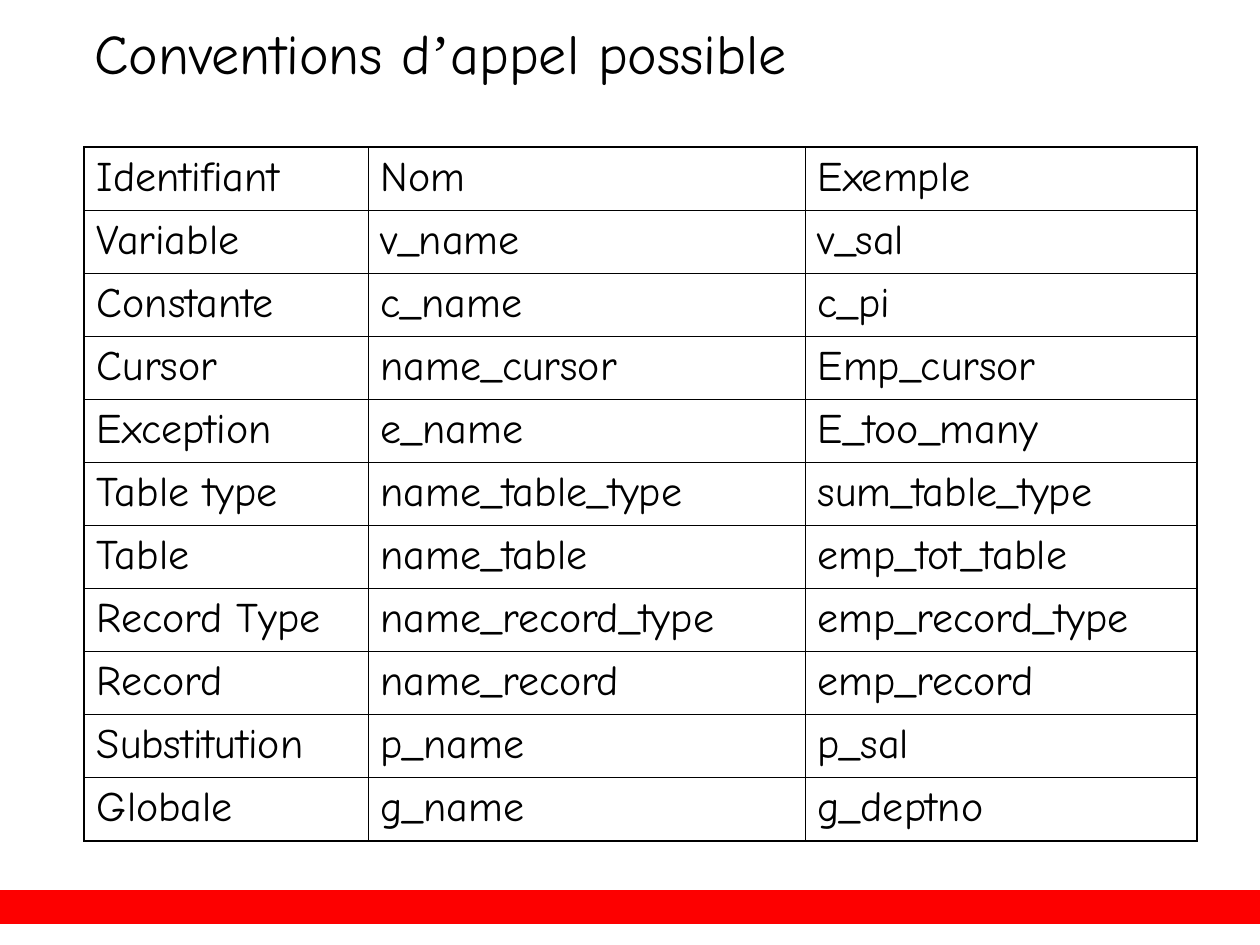
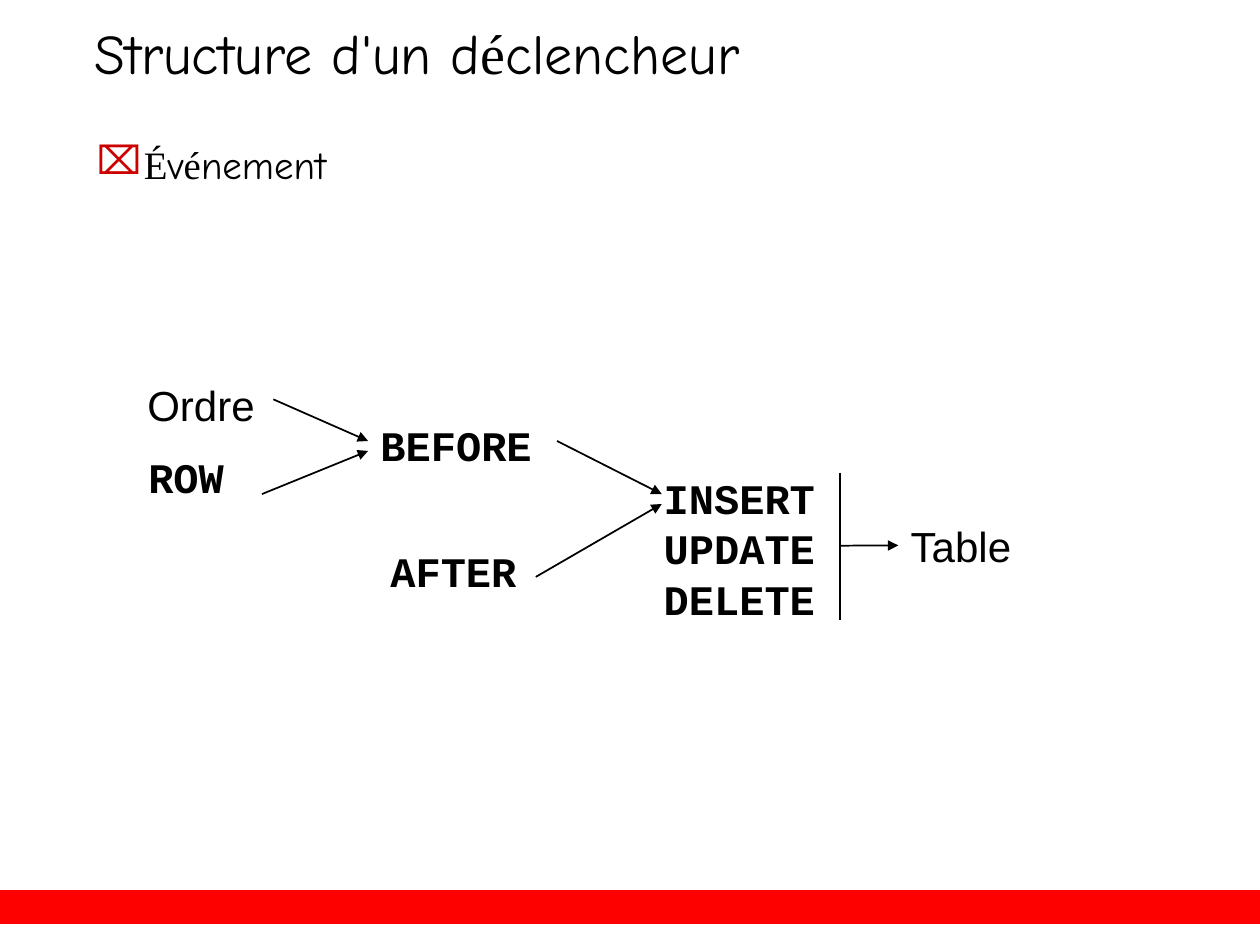
from dataclasses import dataclass
from itertools import groupby

from lxml import etree
from pptx import Presentation
from pptx.dml.color import RGBColor
from pptx.enum.shapes import MSO_CONNECTOR, MSO_SHAPE
from pptx.enum.text import MSO_ANCHOR, MSO_AUTO_SIZE
from pptx.oxml.ns import qn
from pptx.shapes.autoshape import Shape
from pptx.slide import Slide
from pptx.table import _Cell
from pptx.text.text import _Paragraph
from pptx.util import Cm, Pt

LINE = MSO_CONNECTOR.STRAIGHT
RECT = MSO_SHAPE.RECTANGLE
MIDDLE = MSO_ANCHOR.MIDDLE
GROW = MSO_AUTO_SIZE.SHAPE_TO_FIT_TEXT
LEFT = 1


@dataclass(frozen=True)
class Theme:
    ink: str = "000000"
    band: str = "FD0000"
    mark: str = "CC0000"
    hand: str = "Comic Neue"
    serif: str = "Times New Roman"
    sans: str = "Arial"
    code: str = "Courier New"
    title: float = 32
    body: float = 22.2
    text: float = 24
    thin: float = 0.45
    thick: float = 1.08
    stroke: float = 1


THEME = Theme()


@dataclass(frozen=True)
class Box:
    left: float
    top: float
    width: float
    height: float = 1.27

    def place(self) -> tuple[Cm, Cm, Cm, Cm]:
        return Cm(self.left), Cm(self.top), Cm(self.width), Cm(self.height)


@dataclass(frozen=True)
class Label:
    lines: tuple[str, ...]
    box: Box
    font: str = THEME.code
    bold: bool = True


@dataclass(frozen=True)
class Link:
    start: tuple[float, float]
    end: tuple[float, float]
    arrow: bool = True
    goal: str = ""


TITLE = Box(1.9, 0.43, 20.75, 1.47)
BAND = Box(0, 17.96, 25.4, 0.66)
BODY = Box(1.7, 2.74, 21.79)

WIDTHS = (5.72, 8.81, 7.9)
ROW = 1.27
NAMES = (
    ("Identifiant", "Nom", "Exemple"),
    ("Variable", "v_name", "v_sal"),
    ("Constante", "c_name", "c_pi"),
    ("Cursor", "name_cursor", "Emp_cursor"),
    ("Exception", "e_name", "E_too_many"),
    ("Table type", "name_table_type", "sum_table_type"),
    ("Table", "name_table", "emp_tot_table"),
    ("Record Type", "name_record_type", "emp_record_type"),
    ("Record", "name_record", "emp_record"),
    ("Substitution", "p_name", "p_sal"),
    ("Globale", "g_name", "g_deptno"),
)

LABELS = (
    Label(("Ordre",), Box(2.72, 7.52, 2.67), THEME.sans, False),
    Label(("ROW",), Box(2.74, 8.97, 2.03)),
    Label(("BEFORE",), Box(7.42, 8.33, 3.56)),
    Label(("AFTER",), Box(7.62, 10.87, 3.05)),
    Label(("INSERT", "UPDATE", "DELETE"), Box(13.13, 9.4, 3.56, 3.3)),
    Label(("Table",), Box(18.11, 10.36, 2.62), THEME.sans, False),
)
LINKS = (
    Link((5.51, 8.05), (7.42, 8.89)),
    Link((5.28, 9.96), (7.42, 9.09)),
    Link((11.23, 8.89), (13.34, 9.96)),
    Link((10.8, 11.63), (13.34, 10.16)),
    Link((16.94, 9.53), (16.94, 12.5), arrow=False),
    Link((16.94, 11), (18.11, 11), goal="Table"),
)


def style(para: _Paragraph, size: float, face: str = "", bold: bool = False) -> None:
    para.font.size = Pt(size)
    para.font.bold = bold
    para.font.color.rgb = RGBColor.from_string(THEME.ink)
    if face:
        para.font.name = face


def write(para: _Paragraph, text: str, size: float) -> None:
    style(para, size)
    for plain, chars in groupby(text, str.isascii):
        run = para.add_run()
        run.text = "".join(chars)
        run.font.name = THEME.hand if plain else THEME.serif


def add_text(slide: Slide, box: Box) -> Shape:
    shape = slide.shapes.add_textbox(*box.place())
    shape.text_frame.word_wrap = True
    shape.text_frame.vertical_anchor = MIDDLE
    return shape


def add_base(deck: Presentation, title: str) -> Slide:
    slide = deck.slides.add_slide(deck.slide_layouts[6])
    band = slide.shapes.add_shape(RECT, *BAND.place())
    band.shadow.inherit = False
    band.fill.solid()
    band.fill.fore_color.rgb = RGBColor.from_string(THEME.band)
    band.line.color.rgb = RGBColor.from_string(THEME.band)
    band.line.width = Pt(THEME.stroke)
    frame = add_text(slide, TITLE).text_frame
    frame.margin_left = frame.margin_right = 0
    frame.margin_top = frame.margin_bottom = 0
    para = frame.paragraphs[0]
    para.line_spacing = 0.85
    write(para, title, THEME.title)
    return slide


def add_edge(cell: _Cell, side: str, width: float) -> None:
    props = cell._tc.get_or_add_tcPr()
    edge = etree.SubElement(props, qn(f"a:ln{side}"), w=str(Pt(width)))
    fill = etree.SubElement(edge, qn("a:solidFill"))
    etree.SubElement(fill, qn("a:srgbClr"), val=THEME.ink)


def add_names(slide: Slide) -> None:
    rows, cols = len(NAMES), len(WIDTHS)
    box = Box(1.7, 2.97, sum(WIDTHS), rows * ROW)
    table = slide.shapes.add_table(rows, cols, *box.place()).table
    table.first_row = table.horz_banding = False
    for col, width in zip(table.columns, WIDTHS):
        col.width = Cm(width)
    for i, row in enumerate(NAMES):
        table.rows[i].height = Cm(ROW)
        for j, text in enumerate(row):
            cell = table.cell(i, j)
            outer = {"L": j == 0, "R": j == cols - 1, "T": i == 0, "B": i == rows - 1}
            for side, edge in outer.items():
                add_edge(cell, side, THEME.thick if edge else THEME.thin)
            cell.fill.background()
            cell.text = text
            style(cell.text_frame.paragraphs[0], THEME.text, THEME.hand)


def add_point(slide: Slide, text: str) -> None:
    para = add_text(slide, BODY).text_frame.paragraphs[0]
    para.line_spacing = 0.9
    props = para._p.get_or_add_pPr()
    props.set("marL", str(Cm(0.95)))
    props.set("indent", str(Cm(-0.95)))
    tint = etree.SubElement(props, qn("a:buClr"))
    etree.SubElement(tint, qn("a:srgbClr"), val=THEME.mark)
    etree.SubElement(props, qn("a:buChar"), char="⌧")
    write(para, text, THEME.body)


def add_label(slide: Slide, label: Label) -> Shape:
    shape = slide.shapes.add_textbox(*label.box.place())
    frame = shape.text_frame
    frame.word_wrap = False
    frame.auto_size = GROW
    frame.text = "\n".join(label.lines)
    for para in frame.paragraphs:
        style(para, THEME.text, label.font, label.bold)
    return shape


def add_link(slide: Slide, link: Link, shapes: dict[str, Shape]) -> None:
    ends = (Cm(v) for v in (*link.start, *link.end))
    line = slide.shapes.add_connector(LINE, *ends)
    if link.goal:
        line.end_connect(shapes[link.goal], LEFT)
    line.line.color.rgb = RGBColor.from_string(THEME.ink)
    line.line.width = Pt(THEME.stroke)
    if link.arrow:
        etree.SubElement(line.line._get_or_add_ln(), qn("a:tailEnd"), type="triangle")
    etree.SubElement(line._element.spPr, qn("a:effectLst"))


def main() -> None:
    deck = Presentation()
    deck.slide_width, deck.slide_height = Cm(25.4), Cm(19.05)

    add_names(add_base(deck, "Conventions d’appel possible"))

    slide = add_base(deck, "Structure d'un déclencheur")
    add_point(slide, "Événement")
    shapes = {label.lines[0]: add_label(slide, label) for label in LABELS}
    for link in LINKS:
        add_link(slide, link, shapes)

    deck.save("out.pptx")


if __name__ == "__main__":
    main()
